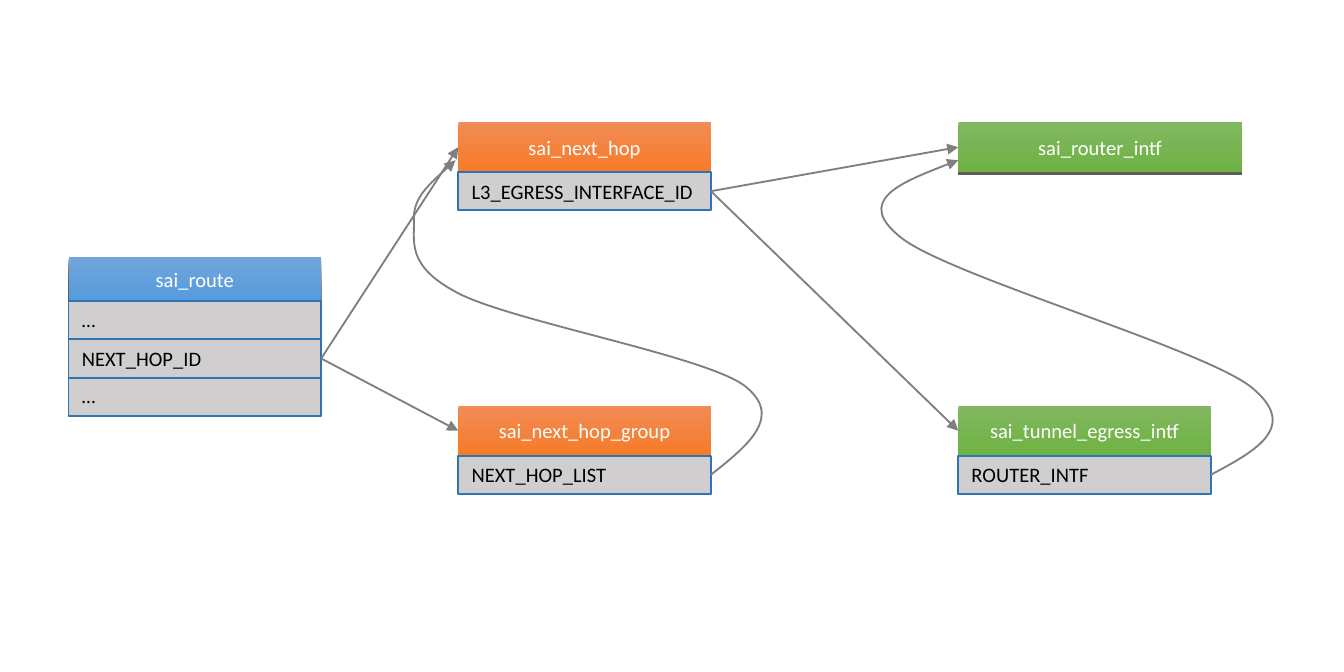
from dataclasses import dataclass

from lxml.etree import SubElement
from pptx import Presentation
from pptx.dml.color import RGBColor
from pptx.enum.shapes import MSO_CONNECTOR, MSO_SHAPE
from pptx.enum.text import MSO_ANCHOR, PP_ALIGN
from pptx.oxml.ns import qn
from pptx.util import Inches, Pt


@dataclass(frozen=True)
class Theme:
    font: str = "Calibri"
    size: float = 11
    dots_size: float = 10.5
    blue: tuple = ("71A6DB", "559BDB")
    orange: tuple = ("F18C55", "F67B28")
    green: tuple = ("81B861", "6FB242")
    row_fill: str = "D0CECE"
    row_line: str = "2E75B6"
    arrow: str = "7F7F7F"
    light: str = "FFFFFF"
    dark: str = "000000"


THEME = Theme()

# Grid of the diagram, in inches
ROUTE_X, HOP_X, INTERFACE_X = 0.51, 3.41, 7.13
TOP_Y, MIDDLE_Y, BOTTOM_Y = 0.91, 1.91, 3.02
BOX_WIDTH, WIDE_BOX = 1.88, 2.11
HEADER_HEIGHT, ROUTE_HEADER, ROW_HEIGHT = 0.37, 0.33, 0.285

# Curve control points, as offsets from the row where the curve starts
GROUP_CURVE = [(0.28, -0.22), (0.55, -0.44), (0.24, -0.67),
               (-0.08, -0.89), (-1.47, -1.14), (-1.88, -1.35),
               (-2.28, -1.56), (-2.2, -1.74), (-2.21, -1.91),
               (-2.21, -2.07), (-2.05, -2.2), (-1.9, -2.34)]
TUNNEL_CURVE = [(0.34, -0.18), (0.67, -0.36), (0.29, -0.66),
                (-0.1, -0.95), (-1.94, -1.48), (-2.3, -1.76),
                (-2.66, -2.04), (-2.27, -2.19), (-1.88, -2.34)]


def color(code):
    return RGBColor.from_string(code)


def write(shape, text, size=THEME.size, ink=THEME.dark,
          align=PP_ALIGN.LEFT, anchor=MSO_ANCHOR.TOP):
    frame = shape.text_frame
    frame.word_wrap = True
    frame.vertical_anchor = anchor
    para = frame.paragraphs[0]
    para.alignment = align
    span = para.add_run()
    span.text = text
    span.font.name = THEME.font
    span.font.size = Pt(size)
    span.font.color.rgb = color(ink)


def rectangle(page, left, top, width, height):
    shape = page.shapes.add_shape(MSO_SHAPE.RECTANGLE, Inches(left), Inches(top),
                                  Inches(width), Inches(height))
    shape.shadow.inherit = False
    return shape


def drop_shadow(shape):
    effects = shape._element.spPr.find(qn("a:effectLst"))
    shadow = SubElement(effects, qn("a:outerShdw"), blurRad="0", dist=str(Pt(1.5)),
                        dir="5400000", algn="ctr", rotWithShape="0")
    tint = SubElement(shadow, qn("a:srgbClr"), val=THEME.dark)
    SubElement(tint, qn("a:alpha"), val="63000")


def header(page, name, shades, left, top, width, height):
    box = rectangle(page, left, top, width, height)
    box.fill.gradient()
    box.fill.gradient_angle = 270
    for stop, shade, position in zip(box.fill.gradient_stops, shades, (0, 1)):
        stop.color.rgb = color(shade)
        stop.position = position
    box.line.fill.background()
    drop_shadow(box)
    write(box, name, ink=THEME.light, align=PP_ALIGN.CENTER, anchor=MSO_ANCHOR.MIDDLE)


def entity(page, name, shades, left, top, rows=(), width=BOX_WIDTH,
           header_height=HEADER_HEIGHT):
    """Draw a header over its rows; return its entry point and the row exits."""
    header(page, name, shades, left, top, width, header_height)
    exits = {}
    for index, text in enumerate(rows):
        row_top = top + header_height + index * ROW_HEIGHT
        box = rectangle(page, left, row_top, width, ROW_HEIGHT)
        box.fill.solid()
        box.fill.fore_color.rgb = color(THEME.row_fill)
        box.line.color.rgb = color(THEME.row_line)
        box.line.width = Pt(1)
        write(box, text, size=THEME.dots_size if text == "…" else THEME.size)
        exits[text] = (left + width, row_top + ROW_HEIGHT / 2)
    return (left, top + header_height / 2), exits


def style_arrow(shape):
    shape.line.color.rgb = color(THEME.arrow)
    shape.line.width = Pt(1)
    SubElement(shape.line._get_or_add_ln(), qn("a:tailEnd"), type="triangle")


def straight_arrow(page, start, end):
    arrow = page.shapes.add_connector(MSO_CONNECTOR.STRAIGHT,
                                      *map(Inches, start + end))
    style_arrow(arrow)
    SubElement(arrow._element.spPr, qn("a:effectLst"))


def curved_arrow(page, start, offsets):
    x, y = start
    builder = page.shapes.build_freeform(Inches(x), Inches(y))
    builder.add_line_segments([(Inches(x + dx), Inches(y + dy)) for dx, dy in offsets],
                              close=False)
    arrow = builder.convert_to_shape()
    arrow.shadow.inherit = False
    arrow.fill.background()
    style_arrow(arrow)
    # Every three segments become one Bézier curve
    segments = list(arrow._element.iter(qn("a:lnTo")))
    for first in range(0, len(segments), 3):
        outline = segments[first].getparent()
        curve = SubElement(outline, qn("a:cubicBezTo"))
        for segment in segments[first:first + 3]:
            curve.append(segment[0])
            outline.remove(segment)


def object_diagram(page):
    # Entities
    _, route = entity(page, "sai_route", THEME.blue, ROUTE_X, MIDDLE_Y,
                      rows=("…", "NEXT_HOP_ID", "…"), header_height=ROUTE_HEADER)
    hop_entry, hop = entity(page, "sai_next_hop", THEME.orange, HOP_X, TOP_Y,
                            rows=("L3_EGRESS_INTERFACE_ID",))
    group_entry, group = entity(page, "sai_next_hop_group", THEME.orange, HOP_X, BOTTOM_Y,
                                rows=("NEXT_HOP_LIST",))
    router_entry, _ = entity(page, "sai_router_intf", THEME.green, INTERFACE_X, TOP_Y,
                             width=WIDE_BOX)
    tunnel_entry, tunnel = entity(page, "sai_tunnel_egress_intf", THEME.green,
                                  INTERFACE_X, BOTTOM_Y, rows=("ROUTER_INTF",))
    # References
    for start, ends in ((route["NEXT_HOP_ID"], (hop_entry, group_entry)),
                        (hop["L3_EGRESS_INTERFACE_ID"], (router_entry, tunnel_entry))):
        for end in ends:
            straight_arrow(page, start, end)
    curved_arrow(page, group["NEXT_HOP_LIST"], GROUP_CURVE)
    curved_arrow(page, tunnel["ROUTER_INTF"], TUNNEL_CURVE)


def main():
    deck = Presentation()
    deck.slide_width, deck.slide_height = Inches(10), Inches(5)
    object_diagram(deck.slides.add_slide(deck.slide_layouts[6]))
    deck.save("out.pptx")


if __name__ == "__main__":
    main()
